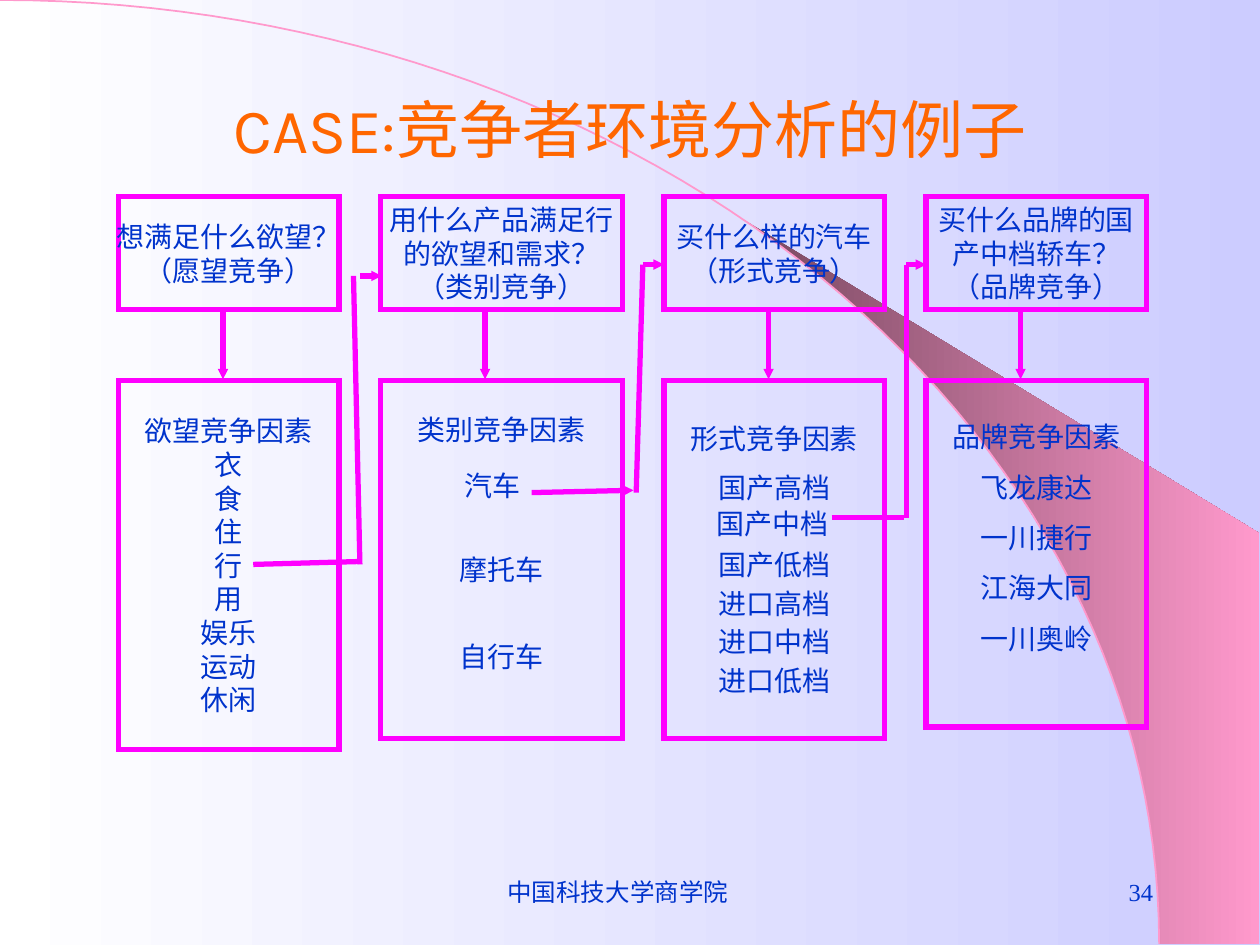
from dataclasses import dataclass
from math import asin, cos, pi, sin

from lxml.etree import SubElement
from pptx import Presentation
from pptx.dml.color import RGBColor
from pptx.enum.shapes import MSO_CONNECTOR, MSO_SHAPE
from pptx.enum.text import MSO_ANCHOR, MSO_AUTO_SIZE, PP_ALIGN
from pptx.oxml.ns import qn
from pptx.util import Inches, Pt

W, H = Inches(10), Inches(7.5)
MAGENTA, BLUE, ORANGE, PINK = "FF00FF", "0033CC", "FF6600", "FF99CC"
PLUM, WHITE, LILAC = "76475E", "FFFFFF", "CCCCFF"
SERIF, SANS = "Times New Roman", "Karla"
QUESTION_TOP, QUESTION_HEIGHT, FACTORS_TOP = 20.8, 12, 40.27
LABEL_HEIGHT, ARROW_CLEARANCE = 4.93, 0.13
OPEN_ROW, LAST_ROW_HEIGHT, BOX_MARGIN = None, 0.26, 0.05


@dataclass
class Column:
    """A question above its factors; lengths in percent, head_gap and line in points."""
    left: float
    width: float
    height: float
    stem: float
    question: list
    title: str
    items: list
    line: object = None
    head_gap: float = 0


@dataclass
class Link:
    """A three-part path; its box is in percent, its turns are shares of the box."""
    box: tuple
    stop: tuple
    foot: float
    head: float
    bend: float
    arrow: bool = False


COLUMNS = [
    Column(9.4, 17.5, 39.07, 8.3, ["想满足什么欲望？", "（愿望竞争）"], "欲望竞争因素",
           ["衣", "食", "住", "行", "用", "娱乐", "运动", "休闲"]),
    Column(30.2, 19.2, 37.87, 8.3, ["用什么产品满足行", "的欲望和需求？", "（类别竞争）"],
           "类别竞争因素", [OPEN_ROW, "摩托车", OPEN_ROW, "自行车", OPEN_ROW], Pt(25), 30),
    Column(52.7, 17.5, 37.87, 8.3, ["买什么样的汽车", "（形式竞争）"], "形式竞争因素",
           ["国产高档", OPEN_ROW, "国产低档", "进口高档", "进口中档", "进口低档"], Pt(22), 6),
    Column(73.5, 17.5, 36.67, 7.5, ["买什么品牌的国", "产中档轿车？", "（品牌竞争）"],
           "品牌竞争因素", ["飞龙康达", "一川捷行", "江海大同", "一川奥岭", OPEN_ROW], 1.5),
]
LINKS = [
    Link((20.1, 29.2, 10.2, 30.53), (0.82, 0.99), 0.83, 0.78, 0.83),
    Link((42.2, 28, 10.5, 24.13), (0.77, 0.99), 0.79, 0.84, 0.84, arrow=True),
    Link((66, 28, 7.5, 26.8), (0.77, 1), 0.79, 0.79, 0.79),
]
CHOSEN = {"汽车": (35.9, 48.93, 6.4, LABEL_HEIGHT), "国产中档": (55.9, 52.93, 10.8, LABEL_HEIGHT)}


def rgb(value):
    """Turn a hex string into a colour."""
    return RGBColor.from_string(value)


def place(box):
    """Turn left, top, width, height in percent of the slide into lengths."""
    return [round(v * side / 100) for v, side in zip(box, (W, H, W, H))]


def write(tf, paras, size=16, font=SERIF, color=BLUE, align=PP_ALIGN.CENTER,
          anchor=MSO_ANCHOR.MIDDLE, wrap=False, right=0.1, bottom=BOX_MARGIN):
    """Fill a text frame with (text, space before, line spacing) paragraphs."""
    tf.auto_size = MSO_AUTO_SIZE.NONE
    tf.word_wrap, tf.vertical_anchor = wrap, anchor
    tf.margin_left, tf.margin_top = Inches(0.1), Inches(BOX_MARGIN)
    tf.margin_right, tf.margin_bottom = Inches(right), Inches(bottom)
    for i, (text, before, spacing) in enumerate(paras):
        p = tf.paragraphs[0] if i == 0 else tf.add_paragraph()
        p.alignment, p.space_before, p.line_spacing = align, Pt(before), spacing
        r = p.add_run()
        r.text = text
        r.font.size, r.font.name = Pt(size), font
        r.font.color.rgb = rgb(color)


def plain(*texts):
    """Turn texts into paragraphs without extra spacing."""
    return [(text, 0, None) for text in texts]


def label(s, box, text, **fmt):
    """Add a text box holding one line."""
    sp = s.shapes.add_textbox(*place(box))
    write(sp.text_frame, plain(text), **fmt)


def stroke(sp, color=MAGENTA, width=3):
    """Format a line with square corners and return its XML element."""
    sp.line.color.rgb = rgb(color)
    sp.line.width = Pt(width)
    ln = sp.element.spPr.find(qn("a:ln"))
    SubElement(ln, qn("a:miter"), lim="800000")
    return ln


def frame(s, box, paras, **fmt):
    """Add an outlined box with centred text."""
    sp = s.shapes.add_shape(MSO_SHAPE.RECTANGLE, *place(box))
    sp.shadow.inherit = False
    sp.fill.background()
    stroke(sp)
    write(sp.text_frame, paras, **fmt)


def line(s, start, end, arrow=False):
    """Draw a straight line between two points in percent."""
    c = s.shapes.add_connector(MSO_CONNECTOR.STRAIGHT, *place(start + end))
    ln = stroke(c)
    if arrow:
        SubElement(ln, qn("a:tailEnd"), type="triangle", w="sm", len="sm")
    SubElement(c.element.spPr, qn("a:effectLst"))


def gradient(fill, *colors):
    """Apply a left-to-right gradient."""
    fill.gradient()
    fill.gradient_angle = 0
    for stop, color in zip(fill.gradient_stops, colors):
        stop.color.rgb = rgb(color)


def arc(box, first, steps=60):
    """Return points on a quarter ellipse from an angle to its right end."""
    l, t, w, h = place(box)
    angles = [first + (pi / 2 - first) * i / steps for i in range(steps + 1)]
    return [(round(l + w * sin(a)), round(t + h * (1 - cos(a)))) for a in angles]


def outline(s, points, close):
    """Build a freeform through the given points, behind the title."""
    fb = s.shapes.build_freeform(*points[0])
    fb.add_line_segments(points[1:], close=close)
    sp = fb.convert_to_shape()
    sp.shadow.inherit = False
    s.shapes.title.element.addprevious(sp.element)
    return sp


def backdrop(s, box):
    """Draw the background, the shaded ribbon and the arc it follows."""
    gradient(s.background.fill, WHITE, LILAC)
    l, t, w, h = box
    right, upper, ribbon_start = 99.9, 56.4, asin(0.64)
    (x, low), (_, high) = place((right, t + h))[:2], place((right, upper))[:2]
    ribbon = outline(s, arc(box, ribbon_start) + [(x, low), (x, high)], True)
    gradient(ribbon.fill, PLUM, PINK)
    ribbon.line.fill.background()
    curve = outline(s, arc(box, 0), False)
    curve.fill.background()
    stroke(curve, PINK, 1)


def heading(s, box, text):
    """Place and format the title."""
    sp = s.shapes.title
    sp.left, sp.top, sp.width, sp.height = place(box)
    write(sp.text_frame, plain(text), size=36, font=SANS, color=ORANGE, wrap=True)


def factor_rows(col):
    """Return a column's paragraphs and bottom margin; open rows become spacing."""
    paras, before = plain(col.title), col.head_gap
    for item in col.items:
        if item is not OPEN_ROW:
            paras.append((item, before, col.line))
            before = 0
        elif item is OPEN_ROW and hasattr(col.line, "pt"):
            before += col.line.pt
    open_end = col.items[-1] is OPEN_ROW
    return paras, BOX_MARGIN + (LAST_ROW_HEIGHT if open_end else 0)


def column(s, col):
    """Stack a question over its factors and join them with an arrow."""
    paras, bottom = factor_rows(col)
    frame(s, (col.left, QUESTION_TOP, col.width, QUESTION_HEIGHT), plain(*col.question))
    frame(s, (col.left, FACTORS_TOP, col.width, col.height), paras, bottom=bottom)
    x = col.left + col.stem
    line(s, (x, QUESTION_TOP + QUESTION_HEIGHT + ARROW_CLEARANCE),
         (x, FACTORS_TOP - ARROW_CLEARANCE), arrow=True)


def link(s, path):
    """Lead from a factor, lower left, to the next question, upper right."""
    l, t, w, h = path.box
    parts = [((0, 1), path.stop, path.arrow),
             ((path.foot, 1), (path.head, 0), False),
             ((path.bend, 0), (1, 0), True)]
    for *ends, arrow in parts:
        start, end = [(l + w * x, t + h * y) for x, y in ends]
        line(s, start, end, arrow)


def diagram(s):
    """Draw the columns, the links between them and the chosen factors."""
    for col in COLUMNS:
        column(s, col)
    for path in LINKS:
        link(s, path)
    for text, box in CHOSEN.items():
        label(s, box, text, align=PP_ALIGN.LEFT, anchor=MSO_ANCHOR.TOP)


def footer(s, top, height):
    """Add the school name and the page number."""
    label(s, (34.2, top, 31.7, height), "中国科技大学商学院", size=14, wrap=True, right=0.3)
    label(s, (71.7, top, 20.8, height), "34", size=14, wrap=True, align=PP_ALIGN.RIGHT)


def main():
    """Build and save the slide."""
    prs = Presentation()
    prs.slide_width, prs.slide_height = W, H
    s = prs.slides.add_slide(prs.slide_layouts[5])
    backdrop(s, (0, 0, 92, 99.87))
    heading(s, (7.5, 6.27, 85, 14.53), "CASE:竞争者环境分析的例子")
    footer(s, 91.07, 6.67)
    diagram(s)
    prs.save("out.pptx")


if __name__ == "__main__":
    main()
